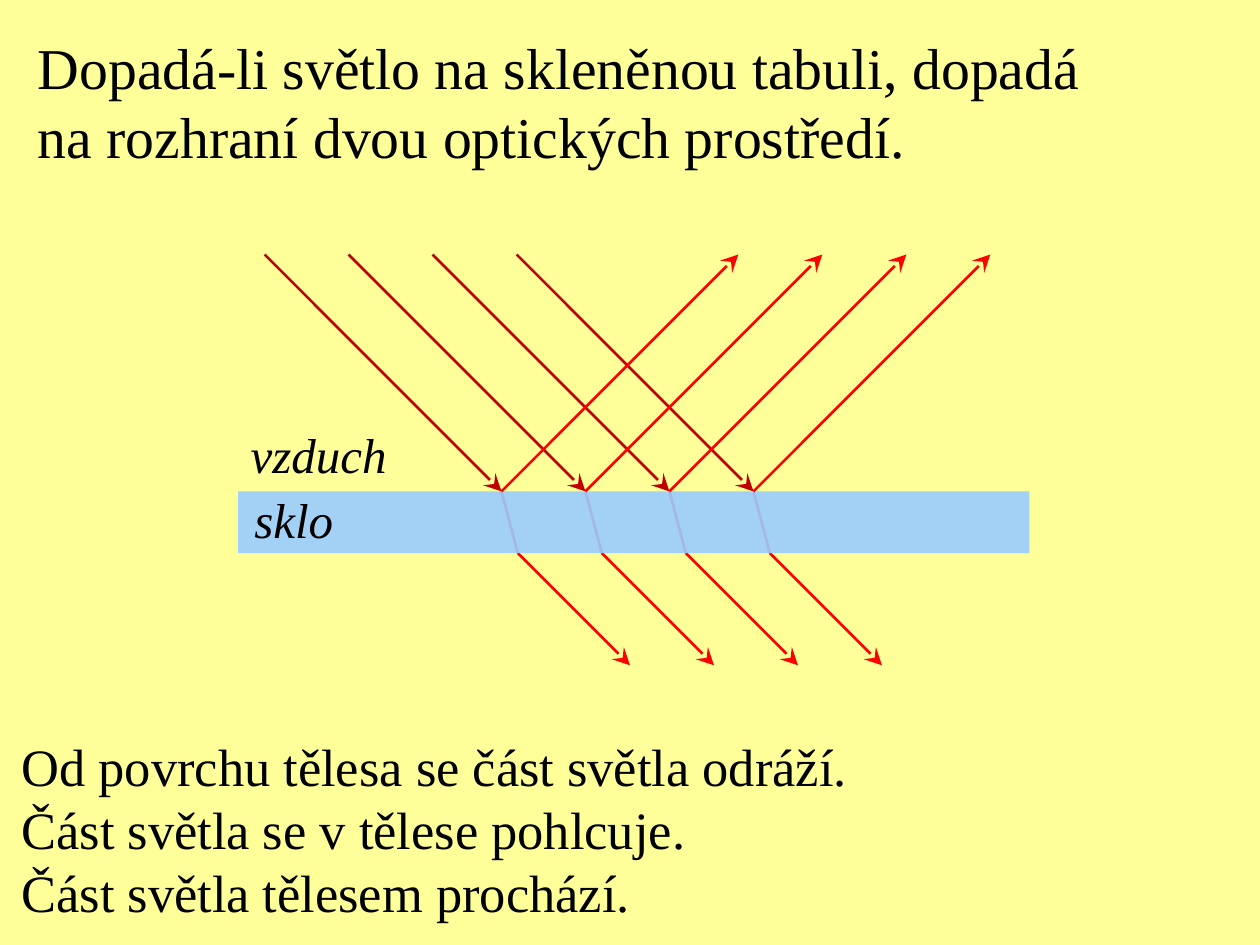
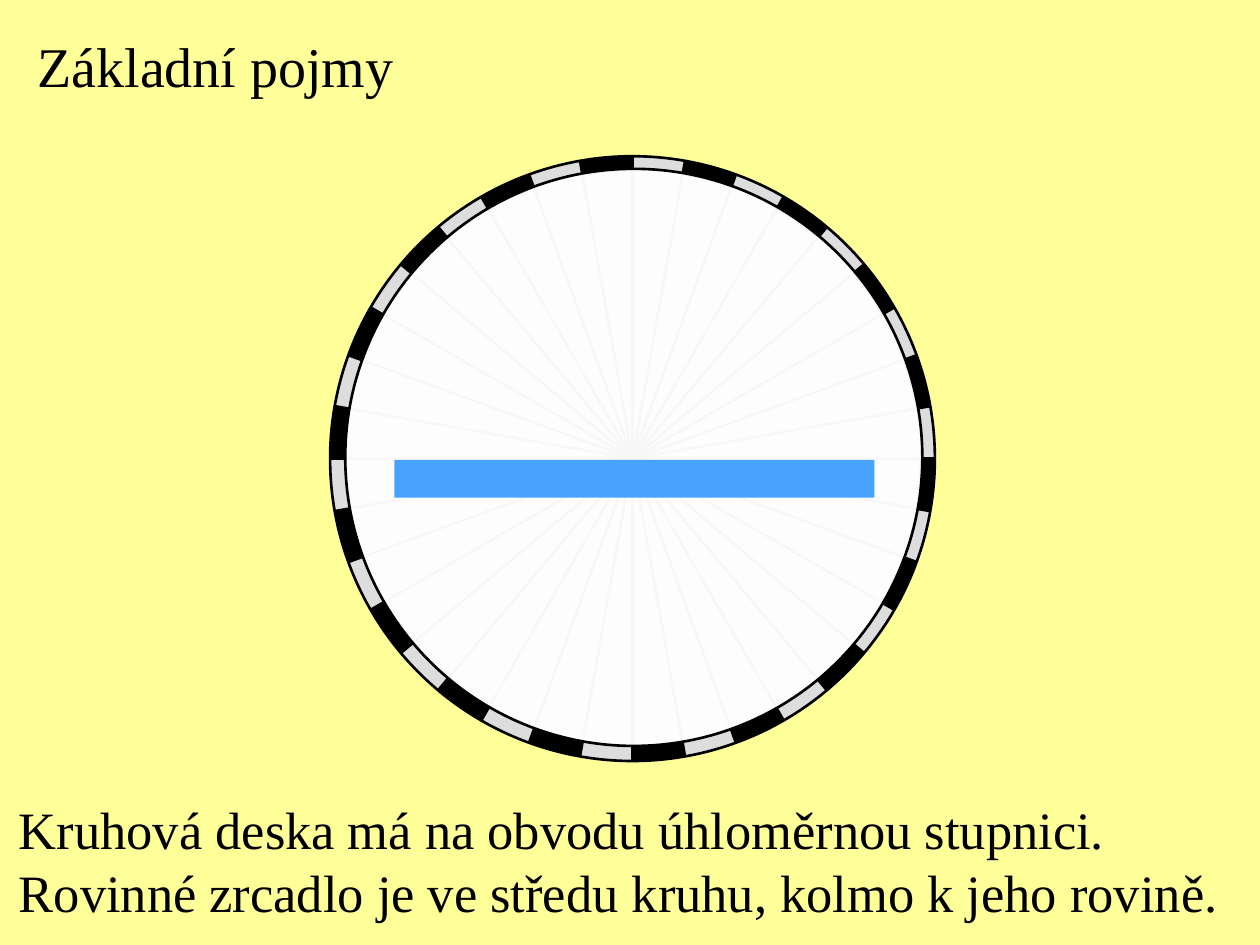
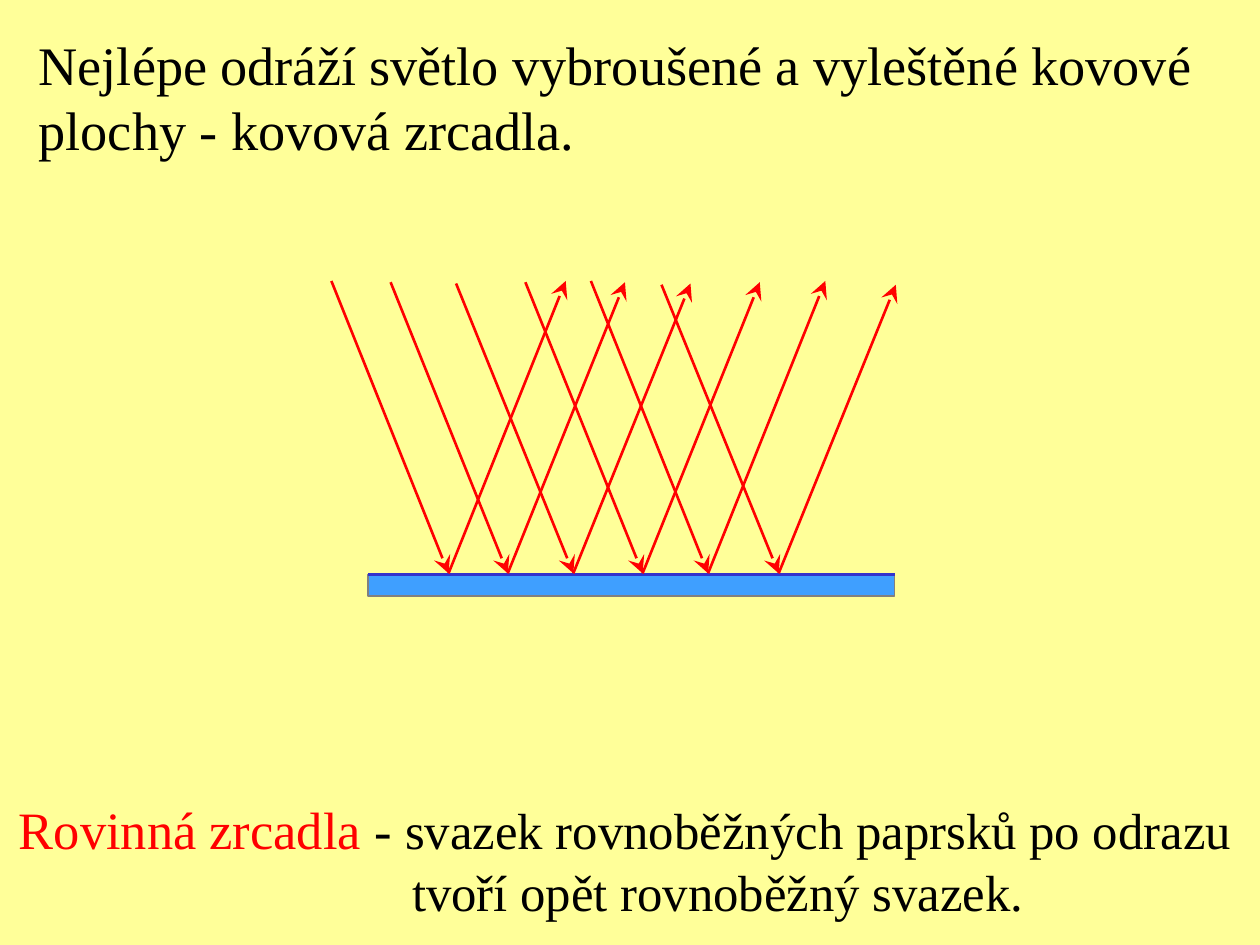
from dataclasses import dataclass
from math import cos, radians, sin

from lxml import etree
from pptx import Presentation
from pptx.dml.color import RGBColor
from pptx.enum.shapes import MSO_CONNECTOR, MSO_SHAPE
from pptx.enum.text import MSO_AUTO_SIZE
from pptx.oxml.ns import qn
from pptx.util import Inches, Pt

RECT = MSO_SHAPE.RECTANGLE
OVAL = MSO_SHAPE.OVAL
STRAIGHT = MSO_CONNECTOR.STRAIGHT
FIXED = MSO_AUTO_SIZE.NONE


@dataclass(frozen=True)
class Theme:
    font: str = "Times New Roman"
    page: str = "FFFF99"
    ink: str = "000000"
    red: str = "FF0000"
    dark: str = "C00000"
    glass: str = "99CCFF"
    mirror: str = "3F9FFF"
    edge: str = "3333CC"
    grey: str = "808080"
    ring: str = "DDDDDD"
    white: str = "FFFFFF"
    body: int = 30
    label: int = 28
    stroke: float = 1.5
    leading: float = 1.2


THEME = Theme()


@dataclass(frozen=True)
class Run:
    text: str
    size: int = THEME.body
    color: str = THEME.ink
    italic: bool = False


@dataclass(frozen=True)
class Line:
    runs: tuple[Run, ...]
    indent: float = 0


@dataclass(frozen=True)
class Box:
    left: float
    top: float
    width: float
    height: float
    inset: float = 0.06


@dataclass(frozen=True)
class Point:
    x: float
    y: float


def rgb(code: str) -> RGBColor:
    return RGBColor.from_string(code)


def plain(text: str, size: int = THEME.body, italic: bool = False) -> list[Line]:
    """One line of a single style for each row of the text."""
    return [Line((Run(row, size, italic=italic),)) for row in text.split("\n")]


def write(slide, box: Box, lines: list[Line], fill: str | None = None) -> None:
    """Text box; the right margin is left free so that full rows fit."""
    shape = slide.shapes.add_textbox(
        Inches(box.left), Inches(box.top), Inches(box.width), Inches(box.height))
    if fill:
        shape.fill.solid()
        shape.fill.fore_color.rgb = rgb(fill)
    frame = shape.text_frame
    frame.word_wrap = True
    frame.auto_size = FIXED
    frame.margin_left, frame.margin_right = Inches(box.inset), 0
    frame.margin_top = frame.margin_bottom = Inches(0.05)
    for i, line in enumerate(lines):
        para = frame.add_paragraph() if i else frame.paragraphs[0]
        para.line_spacing = Pt(THEME.leading * max(r.size for r in line.runs))
        if line.indent:
            props = para._p.get_or_add_pPr()
            props.set("marL", str(Inches(line.indent)))
            props.set("indent", "0")
        for part in line.runs:
            run = para.add_run()
            run.text = part.text
            run.font.name = THEME.font
            run.font.size = Pt(part.size)
            run.font.italic = part.italic
            run.font.color.rgb = rgb(part.color)


def paint(shape, fill: str, line: str | None = None,
          width: float = THEME.stroke, alpha: int = 100) -> None:
    shape.shadow.inherit = False
    shape.fill.solid()
    shape.fill.fore_color.rgb = rgb(fill)
    if alpha < 100:
        color = shape.element.spPr.find(f"{qn('a:solidFill')}/{qn('a:srgbClr')}")
        etree.SubElement(color, qn("a:alpha"), val=str(alpha * 1000))
    if line:
        shape.line.color.rgb = rgb(line)
        shape.line.width = Pt(width)
    else:
        shape.line.fill.background()


def block(slide, kind, box: Box, fill: str, line: str | None = None,
          width: float = THEME.stroke, alpha: int = 100) -> None:
    shape = slide.shapes.add_shape(
        kind, Inches(box.left), Inches(box.top), Inches(box.width), Inches(box.height))
    paint(shape, fill, line, width, alpha)


def ray(slide, start: Point, end: Point, color: str = THEME.red,
        arrow: bool = True) -> None:
    link = slide.shapes.add_connector(
        STRAIGHT, Inches(start.x), Inches(start.y), Inches(end.x), Inches(end.y))
    link.line.color.rgb = rgb(color)
    link.line.width = Pt(THEME.stroke)
    props = link.element.spPr
    if arrow:
        etree.SubElement(props.find(qn("a:ln")), qn("a:tailEnd"),
                         type="stealth", w="lg", len="lg")
    etree.SubElement(props, qn("a:effectLst"))


def disc(slide, mid: Point, radius: float, fill: str, alpha: int = 100) -> None:
    box = Box(mid.x - radius, mid.y - radius, 2 * radius, 2 * radius)
    block(slide, OVAL, box, fill, THEME.ink, alpha=alpha)


def polar(mid: Point, radius: float, angle: float) -> Point:
    """Point on a circle, with the angle clockwise from the top."""
    turn = radians(angle)
    return Point(mid.x + radius * sin(turn), mid.y - radius * cos(turn))


def glass(slide) -> None:
    write(slide, Box(0.2, 0.2, 8.59, 1.2, 0.1), plain(
        "Dopadá-li světlo na skleněnou tabuli, dopadá\n"
        "na rozhraní dvou optických prostředí.", 33), THEME.page)
    write(slide, Box(0.11, 5.78, 6.68, 1.6), plain(
        "Od povrchu tělesa se část světla odráží.\n"
        "Část světla se v tělese pohlcuje.\n"
        "Část světla tělesem prochází."))

    # Rays above, inside and below the pane
    top, face, base = 2.02, 3.9, 4.39
    reach, bend, out = 1.88, 0.13, 0.89
    hits = [Point(3.98 + i * 2 / 3, face) for i in range(4)]
    exits = [Point(hit.x + bend, base) for hit in hits]
    for hit in hits:
        ray(slide, Point(hit.x - reach, top), hit, THEME.dark)
    for hit, leave in zip(hits, exits):
        ray(slide, hit, leave, arrow=False)
    for leave in exits:
        ray(slide, leave, Point(leave.x + out, base + out))

    # Pane and its labels
    block(slide, RECT, Box(1.89, face, 6.28, base - face), THEME.glass, alpha=90)
    write(slide, Box(1.93, 3.32, 1.2, 0.57), plain("vzduch", THEME.label, True))
    write(slide, Box(1.96, 3.84, 0.74, 0.57), plain("sklo", THEME.label, True))
    for hit in reversed(hits):
        ray(slide, hit, Point(hit.x + reach, top))


def dial(slide) -> None:
    write(slide, Box(0.2, 0.2, 3.03, 0.64, 0.1), plain("Základní pojmy", 32))

    # Protractor: spokes every 10 degrees, every other step black
    mid, outer, inner, step = Point(5.02, 3.64), 2.4, 2.28, 10
    disc(slide, mid, outer, THEME.ring)
    for angle in range(0, 180, step):
        ray(slide, polar(mid, outer, angle), polar(mid, outer, angle + 180),
            THEME.ink, arrow=False)
    for angle in range(-step, 360 - step, 2 * step):
        sweep = (angle, angle + step / 2, angle + step)
        rim = [polar(mid, outer, a) for a in sweep]
        rim += [polar(mid, inner, a) for a in reversed(sweep)]
        first, *rest = [(Inches(p.x), Inches(p.y)) for p in rim]
        path = slide.shapes.build_freeform(*first)
        path.add_line_segments(rest, close=True)
        paint(path.convert_to_shape(), THEME.ink)
    disc(slide, Point(5.03, 3.63), 2.29, THEME.white, alpha=97)

    block(slide, RECT, Box(3.13, 3.65, 3.81, 0.3), THEME.mirror, alpha=95)
    write(slide, Box(0.09, 6.28, 9.64, 1.1), plain(
        "Kruhová deska má na obvodu úhloměrnou stupnici.\n"
        "Rovinné zrcadlo je ve středu kruhu, kolmo k jeho rovině."))


def mirror(slide) -> None:
    # Mirror with its reflecting edge
    left, face, width = 2.92, 4.56, 4.18
    block(slide, RECT, Box(left, face, width, 0.17), THEME.mirror, THEME.grey, 1)
    ray(slide, Point(left, face), Point(left + width, face), THEME.edge, arrow=False)

    # Incoming and reflected rays: foot on the mirror, height of the ends
    feet = (3.56, 4.03, 4.55, 5.1, 5.62, 6.18)
    tops = (2.23, 2.24, 2.25, 2.24, 2.23, 2.26)
    reach = 0.93
    for foot, top in zip(feet, tops):
        ray(slide, Point(foot - reach, top), Point(foot, 4.55))
    for foot, top in zip(feet, tops):
        ray(slide, Point(foot, 4.55), Point(foot + reach, top))

    write(slide, Box(0.09, 6.28, 9.75, 1.09), [
        Line((Run("Rovinná zrcadla ", color=THEME.red), Run("- "),
              Run("svazek rovnoběžných paprsků po odrazu", 29))),
        Line((Run("tvoří opět rovnoběžný svazek.", 29),), indent=3.12)])
    write(slide, Box(0.21, 0.2, 9.34, 1.14, 0.1), plain(
        "Nejlépe odráží světlo vybroušené a vyleštěné kovové\n"
        "plochy - kovová zrcadla.", 31))


def main() -> None:
    deck = Presentation()
    deck.slide_width, deck.slide_height = Inches(10), Inches(7.5)
    back = deck.slide_master.background.fill
    back.solid()
    back.fore_color.rgb = rgb(THEME.page)
    for draw in (glass, dial, mirror):
        draw(deck.slides.add_slide(deck.slide_layouts[6]))
    deck.save("out.pptx")


if __name__ == "__main__":
    main()
